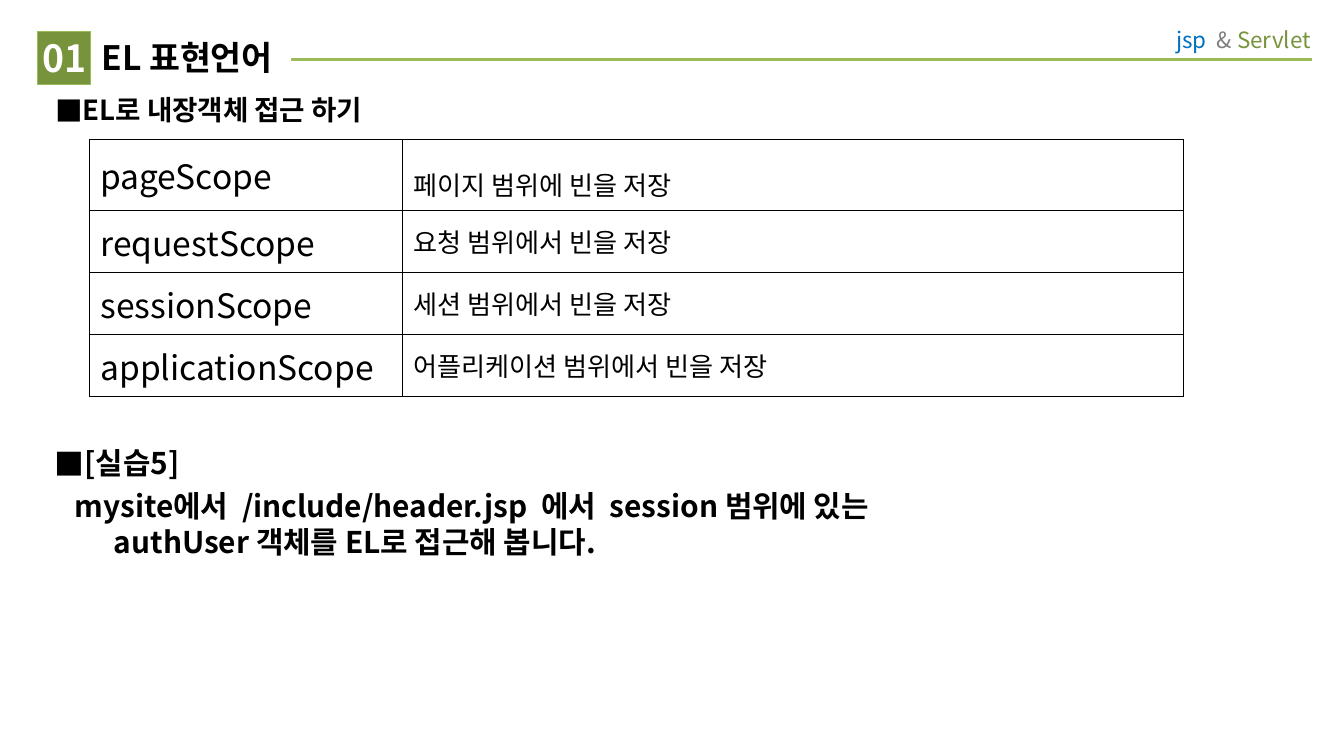
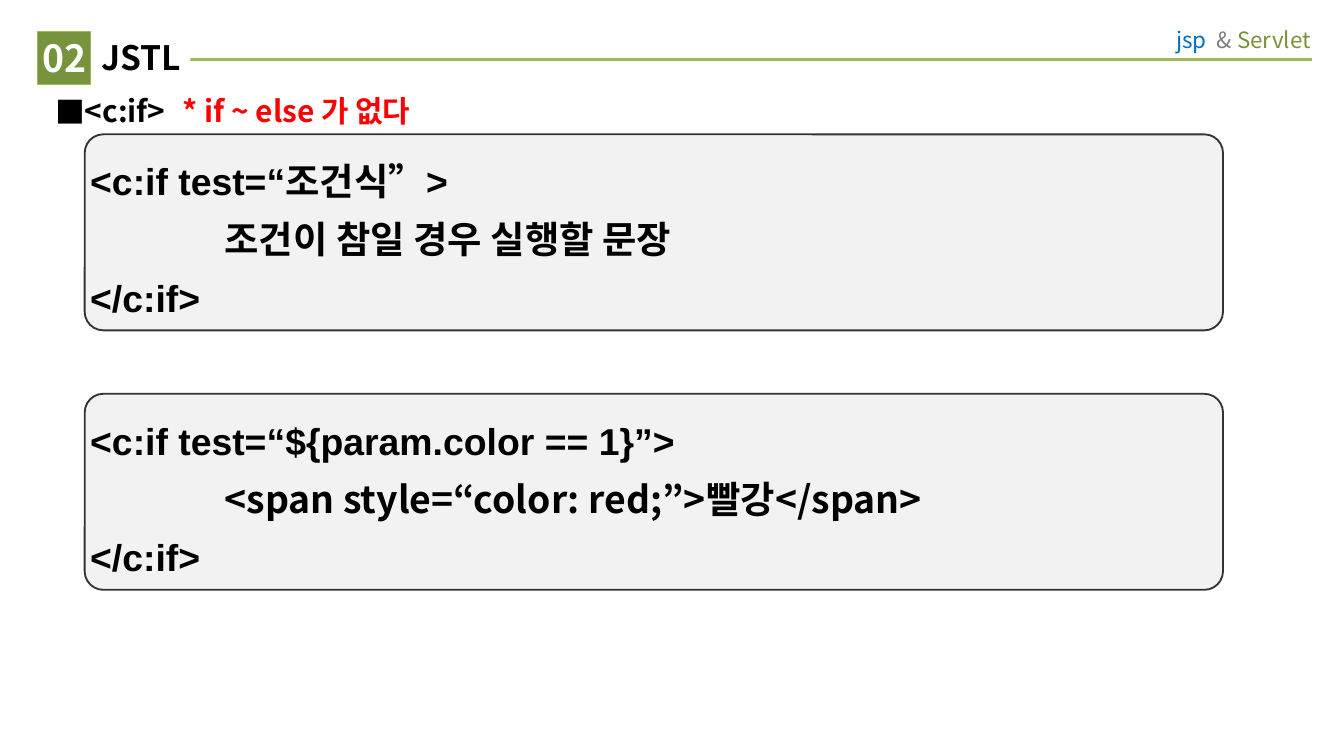
from pptx import Presentation
from pptx.dml.color import RGBColor
from pptx.enum.shapes import MSO_CONNECTOR as Connector, MSO_SHAPE as Shape
from pptx.enum.text import MSO_ANCHOR as Anchor, MSO_AUTO_SIZE as AutoSize, PP_ALIGN as Align
from pptx.oxml.ns import qn
from pptx.util import Pt
from lxml.etree import SubElement

SANS, CODE = "Noto Sans CJK KR", "Arial"
BLACK, WHITE, RED, BLUE = "000000", "FFFFFF", "FF0000", "0070C0"
GRAY, PALE, DARK = "7F7F7F", "F2F2F2", "333333"
GREEN, LIME = "77933C", "9BBB59"

BRAND = [("jsp  ", BLUE), ("& ", GRAY), ("Servlet", GREEN)]
SCOPES = [
    ("pageScope", "페이지 범위에 빈을 저장"),
    ("requestScope", "요청 범위에서 빈을 저장"),
    ("sessionScope", "세션 범위에서 빈을 저장"),
    ("applicationScope", "어플리케이션 범위에서 빈을 저장"),
]
COLUMN_WIDTHS = [167.5, 418.5]
ROW_HEIGHTS = [37, 33.2, 33.2, 33.2]
EXERCISE = "[실습5]"
EXERCISE_TASK = ("mysite에서  /include/header.jsp  에서  session 범위에 있는\n"
                 "authUser 객체를 EL로 접근해 봅니다.")
CODE_BOXES = [
    ("<c:if test=“조건식”>", "조건이 참일 경우 실행할 문장", "</c:if>"),
    ("<c:if test=“${param.color == 1}”>", "<span style=“color: red;”>빨강</span>", "</c:if>"),
]
CODE_TOP, CODE_STEP = 72, 139
BULLET = dict(bold=True, before=4, margin=14.4, indent=-14.4, bullet="■")


def color(value):
    return RGBColor.from_string(value)


def place(box, left, top, width, height):
    box.left, box.top, box.width, box.height = map(Pt, (left, top, width, height))


def frame(box, insets, anchor=Anchor.TOP, wrap=True):
    text = box.text_frame
    text.auto_size = AutoSize.NONE
    text.word_wrap = wrap
    text.vertical_anchor = anchor
    text.margin_left, text.margin_top, text.margin_right, text.margin_bottom = map(Pt, insets)
    return text


def write(para, text, size, font=SANS, ink=BLACK, bold=False, align=Align.LEFT,
          before=0, spacing=1.0, margin=0, indent=0, bullet=None, tab=None):
    para.alignment = align
    para.space_before = Pt(before)
    para.line_spacing = spacing
    props = para._p.get_or_add_pPr()
    props.set("marL", str(Pt(margin)))
    props.set("indent", str(Pt(indent)))
    if bullet:
        tint = SubElement(props, qn("a:buClr"))
        SubElement(tint, qn("a:srgbClr"), val=BLACK)
        SubElement(props, qn("a:buFont"), typeface=SANS)
        SubElement(props, qn("a:buChar"), char=bullet)
    if tab:
        stops = SubElement(props, qn("a:tabLst"))
        SubElement(stops, qn("a:tab"), pos=str(Pt(tab)), algn="l")
    parts = [(text, ink)] if isinstance(text, str) else text
    for words, tone in parts:
        for number, line in enumerate(words.split("\n")):
            if number:
                para.add_line_break()
            span = para.add_run()
            span.text = line
            span.font.size = Pt(size)
            span.font.name = font
            span.font.bold = bold
            span.font.color.rgb = color(tone)
            SubElement(span._r.get_or_add_rPr(), qn("a:ea"), typeface=SANS)


def add_box(page, kind, area, fill, line, width):
    box = page.shapes.add_shape(kind, *map(Pt, area))
    box.shadow.inherit = False
    box.fill.solid()
    box.fill.fore_color.rgb = color(fill)
    box.line.color.rgb = color(line)
    box.line.width = Pt(width)
    return box


def add_page(deck, number, title, title_width, heading, heading_size, tab=None):
    page = deck.slides.add_slide(deck.slide_layouts[1])
    rule = page.shapes.add_connector(Connector.STRAIGHT, Pt(702.7), Pt(31.9), Pt(51), Pt(31.9))
    rule.line.color.rgb = color(LIME)
    rule.line.width = Pt(1.5)
    SubElement(rule._element.spPr, qn("a:effectLst"))
    page.shapes._spTree.insert(2, rule._element)

    brand = page.shapes.add_textbox(Pt(598.3), Pt(8), Pt(111), Pt(26))
    write(frame(brand, (7.2, 5.8, 7.2, 5.8)).paragraphs[0], BRAND, 12, align=Align.RIGHT)

    name = page.shapes.title
    place(name, 48.5, 16.7, title_width, 28)
    name.fill.solid()
    name.fill.fore_color.rgb = color(WHITE)
    write(frame(name, (5.8, 2.9, 0, 2.9), Anchor.MIDDLE, False).paragraphs[0],
          title, 18, bold=True)

    badge = add_box(page, Shape.RECTANGLE, (20.2, 16.7, 28.3, 28.3), GREEN, LIME, 0.25)
    write(frame(badge, (0, 0, 0, 0), Anchor.MIDDLE, False).paragraphs[0],
          number, 20, ink=WHITE, bold=True, align=Align.CENTER)

    body = page.placeholders[1]
    place(body, 22.3, 46, 620.6, 30)
    write(frame(body, (7.2, 3.6, 7.2, 3.6)).paragraphs[0], heading, heading_size,
          tab=tab, **BULLET)
    return page


def outline(cell):
    props = cell._tc.get_or_add_tcPr()
    for side in ("lnL", "lnR", "lnT", "lnB"):
        line = SubElement(props, qn(f"a:{side}"), w=str(Pt(0.45)))
        fill = SubElement(line, qn("a:solidFill"))
        SubElement(fill, qn("a:srgbClr"), val=BLACK)


def add_scope_table(page):
    holder = page.shapes.add_table(len(SCOPES), 2, Pt(48), Pt(74.8),
                                   Pt(sum(COLUMN_WIDTHS)), Pt(sum(ROW_HEIGHTS)))
    table = holder.table
    table.first_row = table.horz_banding = False
    for column, width in zip(table.columns, COLUMN_WIDTHS):
        column.width = Pt(width)
    for index, (row, height, texts) in enumerate(zip(table.rows, ROW_HEIGHTS, SCOPES)):
        row.height = Pt(height)
        meaning = dict(before=4.4, spacing=1.5) if index == 0 else {}
        formats = [dict(size=18, before=12), dict(size=14, **meaning)]
        for cell, text, style in zip(row.cells, texts, formats):
            outline(cell)
            cell.fill.background()
            cell.vertical_anchor = Anchor.MIDDLE
            cell.margin_left = cell.margin_right = Pt(5.8)
            cell.margin_top = cell.margin_bottom = Pt(3.6)
            write(cell.text_frame.paragraphs[0], text, **style)


def add_exercise(page):
    box = page.shapes.add_textbox(Pt(22.3), Pt(234.7), Pt(674.6), Pt(30))
    text = frame(box, (7.2, 3.6, 7.2, 3.6))
    write(text.paragraphs[0], EXERCISE, 16, **BULLET)
    write(text.add_paragraph(), EXERCISE_TASK, 16, bold=True, before=4, margin=31.7, indent=-21)


def add_code_box(page, top, lines):
    box = add_box(page, Shape.ROUNDED_RECTANGLE, (45.4, top, 609.8, 105), PALE, DARK, 1)
    box.adjustments[0] = 0.095
    text = frame(box, (0, 0, 0, 0), Anchor.MIDDLE)
    opening, content, closing = lines
    code = dict(size=20, bold=True, spacing=1.3)
    write(text.paragraphs[0], opening, font=CODE, **code)
    write(text.add_paragraph(), content, margin=72, **code)
    write(text.add_paragraph(), closing, font=CODE, **code)


def main():
    deck = Presentation()
    deck.slide_width, deck.slide_height = Pt(720), Pt(405)

    page = add_page(deck, "01", "EL 표현언어", 107.5, "EL로 내장객체 접근 하기", 14.8)
    add_scope_table(page)
    add_exercise(page)

    page = add_page(deck, "02", "JSTL", 53.5,
                    [("<c:if>\t", BLACK), ("* if ~ else 가 없다", RED)], 16, tab=68.4)
    for index, lines in enumerate(CODE_BOXES):
        add_code_box(page, CODE_TOP + index * CODE_STEP, lines)

    deck.save("out.pptx")


if __name__ == "__main__":
    main()
